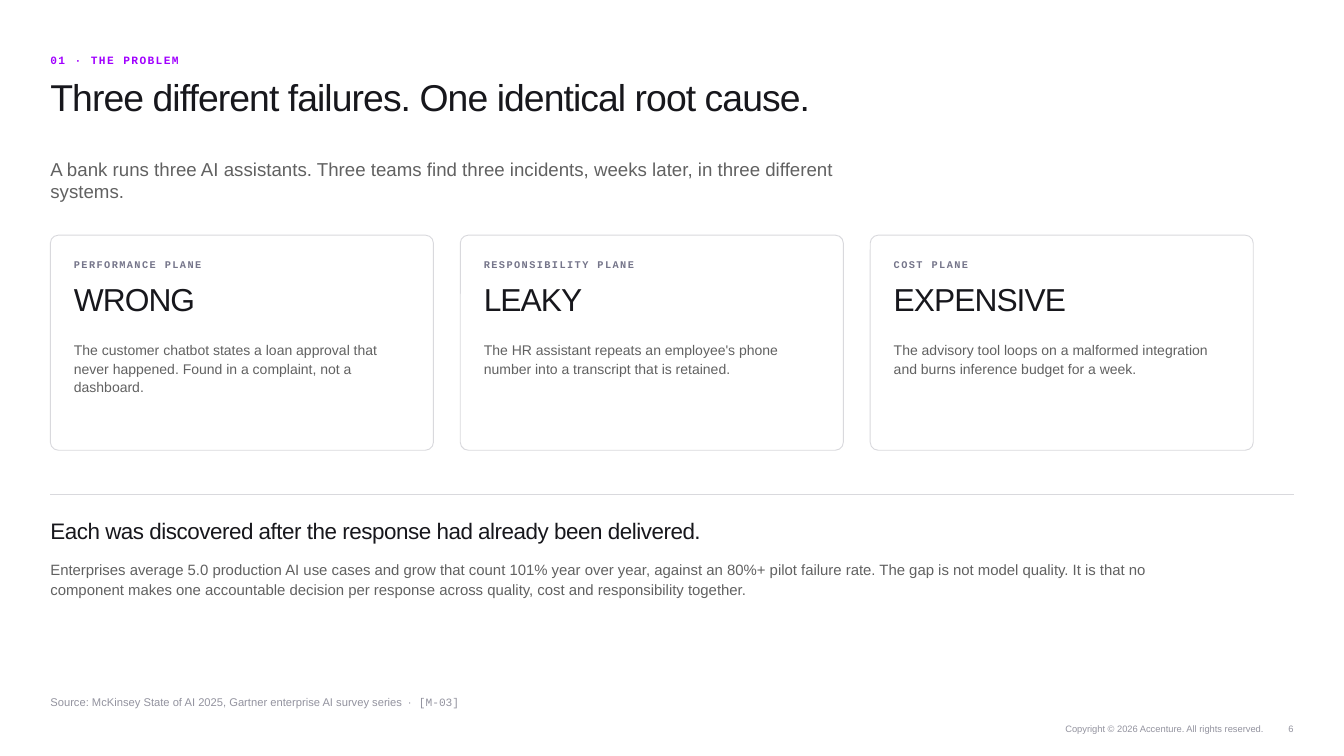
from lxml import etree
from pptx import Presentation
from pptx.dml.color import RGBColor
from pptx.enum.shapes import MSO_CONNECTOR, MSO_SHAPE
from pptx.enum.text import MSO_ANCHOR, MSO_AUTO_SIZE, PP_ALIGN
from pptx.oxml.ns import qn
from pptx.util import Pt

# Content
SECTION = "01 · THE PROBLEM"
TITLE = "Three different failures. One identical root cause."
LEAD = ("A bank runs three AI assistants. Three teams find three incidents, "
        "weeks later, in three different systems.")
FAILURES = [
    ("PERFORMANCE PLANE", "WRONG",
     "The customer chatbot states a loan approval that never happened. "
     "Found in a complaint, not a dashboard."),
    ("RESPONSIBILITY PLANE", "LEAKY",
     "The HR assistant repeats an employee's phone number into a transcript that is retained."),
    ("COST PLANE", "EXPENSIVE",
     "The advisory tool loops on a malformed integration and burns inference budget for a week."),
]
FINDING = "Each was discovered after the response had already been delivered."
EXPLANATION = (
    "Enterprises average 5.0 production AI use cases and grow that count 101% year over year, "
    "against an 80%+ pilot failure rate. The gap is not model quality. It is that no component "
    "makes one accountable decision per response across quality, cost and responsibility together.")
SOURCE = "Source: McKinsey State of AI 2025, Gartner enterprise AI survey series"
SOURCE_CODE = "[M-03]"
COPYRIGHT = "Copyright © 2026 Accenture. All rights reserved."
PAGE = "6"

# Style
COLORS = {"accent": "A100FF", "ink": "17171C", "body": "616161", "label": "75758A",
          "muted": "93939F", "rule": "D9D9DD", "paper": "FFFFFF"}
SANS, MONO = "Arial", "Courier New"

# Layout, in points
SLIDE_W, SLIDE_H = 1440, 810
MARGIN = 54
CARD_TOP, CARD_W, CARD_H, CARD_GAP = 252, 410.4, 230.4, 28.8
CARD_PAD, CARD_TEXT_W = 25.2, 360
RULE_Y = 529.2
FOOTER_Y = 770.4


def rgb(name):
    return RGBColor.from_string(COLORS[name])


def add_run(paragraph, text, spacing=0):
    run = paragraph.add_run()
    run.text = text
    if spacing:
        run._r.get_or_add_rPr().set("spc", str(round(spacing * 100)))
    return run


def write(shape, text, size, color, font=SANS, bold=False, spacing=0,
          middle=False, align=PP_ALIGN.LEFT, leading=None):
    frame = shape.text_frame
    frame.word_wrap = True
    frame.auto_size = MSO_AUTO_SIZE.NONE
    frame.margin_left = frame.margin_right = frame.margin_top = frame.margin_bottom = 0
    frame.vertical_anchor = MSO_ANCHOR.MIDDLE if middle else MSO_ANCHOR.TOP
    paragraph = frame.paragraphs[0]
    paragraph.alignment = align
    if leading:
        paragraph.line_spacing = leading
    paragraph.font.name = font
    paragraph.font.size = Pt(size)
    paragraph.font.bold = bold
    paragraph.font.color.rgb = rgb(color)
    add_run(paragraph, text, spacing)
    return paragraph


def add_text(slide, left, top, width, height, text, size, color, **style):
    box = slide.shapes.add_textbox(Pt(left), Pt(top), Pt(width), Pt(height))
    return write(box, text, size, color, **style)


def add_card(slide, left, plane, failure, incident):
    card = slide.shapes.add_shape(MSO_SHAPE.ROUNDED_RECTANGLE,
                                  Pt(left), Pt(CARD_TOP), Pt(CARD_W), Pt(CARD_H))
    card.adjustments[0] = 0.037
    card.shadow.inherit = False
    card.fill.solid()
    card.fill.fore_color.rgb = rgb("paper")
    card.line.color.rgb = rgb("rule")
    card.line.width = Pt(1)

    x = left + CARD_PAD
    add_text(slide, x, CARD_TOP + 20.16, CARD_TEXT_W, 21.6, plane, 11, "label",
             font=MONO, bold=True, spacing=1.5, middle=True)
    add_text(slide, x, CARD_TOP + 47.52, CARD_TEXT_W, 57.6, failure, 34, "ink", spacing=-1)
    add_text(slide, x, CARD_TOP + 111.6, CARD_TEXT_W, 97.2, incident, 15, "body", leading=1.12)


def main():
    deck = Presentation()
    deck.slide_width, deck.slide_height = Pt(SLIDE_W), Pt(SLIDE_H)
    slide = deck.slides.add_slide(deck.slide_layouts[5])
    slide.background.fill.solid()
    slide.background.fill.fore_color.rgb = rgb("paper")

    # Heading
    add_text(slide, MARGIN, 54, 864, 21.6, SECTION, 12, "accent",
             font=MONO, bold=True, spacing=1.5, middle=True)
    title = slide.shapes.title
    title.left, title.top, title.width, title.height = Pt(MARGIN), Pt(79.2), Pt(1008), Pt(79.2)
    write(title, TITLE, 40, "ink", spacing=-1)
    add_text(slide, MARGIN, 169.2, 864, 57.6, LEAD, 20, "body")

    # Failure cards
    for index, failure in enumerate(FAILURES):
        add_card(slide, MARGIN + index * (CARD_W + CARD_GAP), *failure)

    # Divider
    divider = slide.shapes.add_connector(MSO_CONNECTOR.STRAIGHT, Pt(MARGIN), Pt(RULE_Y),
                                         Pt(SLIDE_W - MARGIN), Pt(RULE_Y))
    divider.line.color.rgb = rgb("rule")
    divider.line.width = Pt(0.75)
    etree.SubElement(divider._element.spPr, qn("a:effectLst"))

    # Conclusion
    add_text(slide, MARGIN, 547.2, 1008, 43.2, FINDING, 24, "ink", spacing=-0.5, middle=True)
    add_text(slide, MARGIN, 597.6, 1188, 100.8, EXPLANATION, 16, "body", leading=1.15)

    # Source and footer
    source = add_text(slide, MARGIN, 741.6, 1224, 21.6, SOURCE, 12, "muted", middle=True)
    add_run(source, " · ", spacing=2.2)
    add_run(source, SOURCE_CODE).font.name = MONO
    for left, width, text in [(950.4, 403.2, COPYRIGHT), (1360.8, 25.2, PAGE)]:
        add_text(slide, left, FOOTER_Y, width, 21.6, text, 10, "muted",
                 middle=True, align=PP_ALIGN.RIGHT)

    deck.save("out.pptx")


if __name__ == "__main__":
    main()
